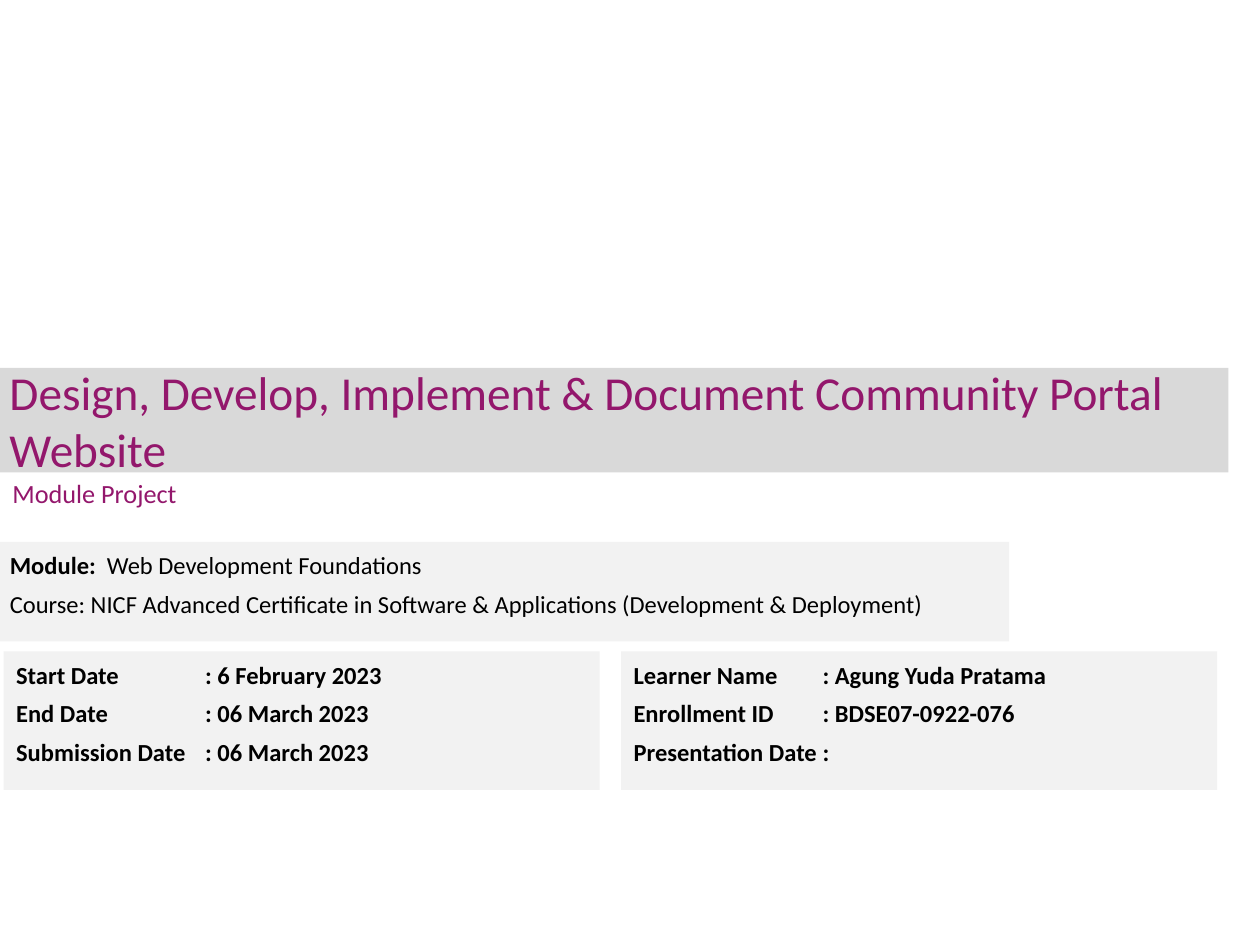
import pptx
import pptx.util
import pptx.dml.color
import pptx.enum.shapes
import pptx.enum.text
import pptx.oxml

PLUM = pptx.dml.color.RGBColor(0x93, 0x17, 0x6C)
BLACK = pptx.dml.color.RGBColor(0, 0, 0)
SILVER = pptx.dml.color.RGBColor(0xD9, 0xD9, 0xD9)
PALE = pptx.dml.color.RGBColor(0xF2, 0xF2, 0xF2)

WIDE = pptx.util.Inches(10)
HIGH = pptx.util.Inches(7.5)
COL = WIDE / 100
ROW = HIGH / 75
FACT_TOP, FACT_WIDE, FACT_HIGH = 51.7, 47.3, 11
STARTS = [0.3, 49.3]
DATES = [
    ("Start Date", "6 February 2023"),
    ("End Date", "06 March 2023"),
    ("Submission Date", "06 March 2023"),
]
LEARNER = [
    ("Learner Name", "Agung Yuda Pratama"),
    ("Enrollment ID", "BDSE07-0922-076"),
    ("Presentation Date", ""),
]


def place(box):
    left, top, wide, high = box
    return [round(n) for n in (left * COL, top * ROW, wide * COL, high * ROW)]


def panel(slide, box, fill):
    kind = pptx.enum.shapes.MSO_SHAPE.RECTANGLE
    shape = slide.shapes.add_shape(kind, *place(box))
    shape.shadow.inherit = False
    shape.fill.solid()
    shape.fill.fore_color.rgb = fill
    shape.line.fill.background()
    frame = shape.text_frame
    frame.word_wrap = True
    frame.vertical_anchor = pptx.enum.text.MSO_ANCHOR.TOP
    return frame


def write(para, text, size=14, color=BLACK, bold=False):
    para.alignment = pptx.enum.text.PP_ALIGN.LEFT
    run = para.add_run()
    run.text = text
    font = run.font
    font.name = "Calibri"
    font.size = pptx.util.Pt(size)
    font.color.rgb = color
    font.bold = bold


def add_line(frame, first, stop=None):
    para = frame.paragraphs[0] if first else frame.add_paragraph()
    para.line_spacing = pptx.util.Pt(18)
    para.space_before = para.space_after = pptx.util.Pt(2)
    if stop:
        props = para._p.get_or_add_pPr()
        tabs = pptx.oxml.parse_xml(
            '<a:tabLst xmlns:a="http://schemas.openxmlformats.org/drawingml/2006/main">'
            f'<a:tab pos="{round(stop * COL)}" algn="l"/></a:tabLst>'
        )
        props.append(tabs)
    return para


def draw_title(slide, box, text):
    frame = panel(slide, box, SILVER)
    frame.vertical_anchor = pptx.enum.text.MSO_ANCHOR.MIDDLE
    frame.margin_left = frame.margin_right = round(0.75 * COL)
    frame.margin_top = frame.margin_bottom = round(0.4 * ROW)
    write(frame.paragraphs[0], text, size=27, color=PLUM)


def draw_label(slide, box, text):
    frame = slide.shapes.add_textbox(*place(box)).text_frame
    frame.word_wrap = True
    frame.vertical_anchor = pptx.enum.text.MSO_ANCHOR.MIDDLE
    write(frame.paragraphs[0], text, size=15, color=PLUM)


def draw_course(slide, box, module, course):
    frame = panel(slide, box, PALE)
    para = add_line(frame, True, stop=7.7)
    write(para, "Module:\t", bold=True)
    write(para, module)
    write(add_line(frame, False), f"Course: {course}")


def draw_facts(slide, box, facts):
    frame = panel(slide, box, PALE)
    for i, (name, value) in enumerate(facts):
        para = add_line(frame, i == 0, stop=15)
        write(para, f"{name}\t: {value}".rstrip(), bold=True)


def main():
    deck = pptx.Presentation()
    deck.slide_width, deck.slide_height = WIDE, HIGH
    slide = deck.slides.add_slide(deck.slide_layouts[6])
    draw_title(slide, (0, 29.2, 97.5, 8.3),
               "Design, Develop, Implement & Document Community Portal Website")
    draw_label(slide, (0, 36, 64.2, 6.2), "Module Project")
    draw_course(slide, (-0.2, 43, 80.3, 7.9), "Web Development Foundations",
                "NICF Advanced Certificate in Software & Applications "
                "(Development & Deployment)")
    for left, facts in zip(STARTS, (DATES, LEARNER)):
        draw_facts(slide, (left, FACT_TOP, FACT_WIDE, FACT_HIGH), facts)
    deck.save("out.pptx")


if __name__ == "__main__":
    main()
